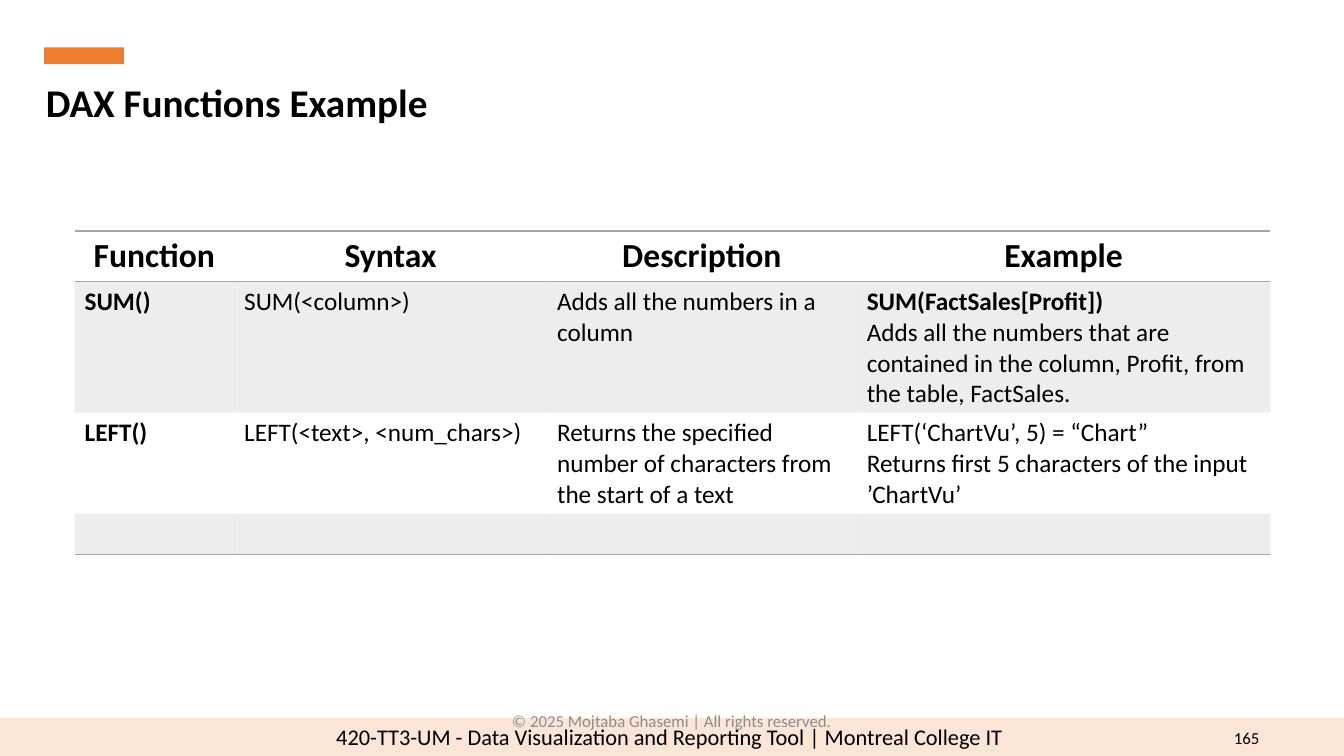
from dataclasses import dataclass

from lxml import etree
from pptx import Presentation
from pptx.dml.color import RGBColor
from pptx.enum.shapes import MSO_SHAPE
from pptx.enum.text import MSO_ANCHOR, MSO_AUTO_SIZE, PP_ALIGN
from pptx.oxml.ns import qn
from pptx.util import Emu, Pt

RECT = MSO_SHAPE.RECTANGLE
LEFT, CENTER, RIGHT = PP_ALIGN.LEFT, PP_ALIGN.CENTER, PP_ALIGN.RIGHT
TOP, MIDDLE = MSO_ANCHOR.TOP, MSO_ANCHOR.MIDDLE
NO_AUTOFIT = MSO_AUTO_SIZE.NONE
PX = 9525
TITLE_ONLY = 5
PLAIN_TABLE_STYLE = "{2D5ABB26-0587-4C30-8999-92F81FD0307C}"


@dataclass(frozen=True)
class Theme:
    font: str = "Calibri"
    text: str = "000000"
    muted: str = "8C8C8C"
    accent: str = "ED7D31"
    band: str = "FBE5D6"
    grid: str = "A5A5A5"
    stripe_alpha: int = 20
    title_size: int = 28
    head_size: int = 24
    body_size: int = 18
    footer_size: int = 16
    small_size: int = 12


THEME = Theme()

COLUMN_WIDTHS = [152, 298, 295, 394]
ROW_HEIGHTS = [48, 125, 96, 39]
HEADINGS = ["Function", "Syntax", "Description", "Example"]
# Each cell is a list of (text, bold) paragraphs.
FUNCTION_ROWS = [
    [
        [("SUM()", True)],
        [("SUM(<column>)", False)],
        [("Adds all the numbers in a column", False)],
        [("SUM(FactSales[Profit])", True),
         ("Adds all the numbers that are contained in the column, Profit, "
          "from the table, FactSales.", False)],
    ],
    [
        [("LEFT()", True)],
        [("LEFT(<text>, <num_chars>)", False)],
        [("Returns the specified number of characters from the start of a text", False)],
        [("LEFT(‘ChartVu’, 5) = “Chart”", False),
         ("Returns first 5 characters of the input ’ChartVu’", False)],
    ],
    [[], [], [], []],
]


def px(n):
    return Emu(n * PX)


def write(p, text, size, bold=False, color=THEME.text, align=LEFT):
    p.alignment = align
    r = p.add_run()
    r.text = text
    r.font.name = THEME.font
    r.font.size = Pt(size)
    r.font.bold = bold
    r.font.color.rgb = RGBColor.from_string(color)


def add_title(s, text, x, y, w, h):
    title = s.shapes.title
    title.left, title.top, title.width, title.height = map(px, (x, y, w, h))
    tf = title.text_frame
    tf.auto_size = NO_AUTOFIT
    tf.vertical_anchor = TOP
    write(tf.paragraphs[0], text, THEME.title_size, bold=True)


def add_bar(s, color, x, y, w, h):
    bar = s.shapes.add_shape(RECT, *map(px, (x, y, w, h)))
    bar.shadow.inherit = False
    bar.fill.solid()
    bar.fill.fore_color.rgb = RGBColor.from_string(color)
    bar.line.fill.background()
    return bar


def add_label(s, text, x, y, w, h, **fmt):
    tf = s.shapes.add_textbox(*map(px, (x, y, w, h))).text_frame
    tf.word_wrap = True
    tf.vertical_anchor = MIDDLE
    write(tf.paragraphs[0], text, THEME.small_size, **fmt)


def rule_cell(cell, *sides):
    """Draw a one-point line on the given sides, listed from lnT to lnB."""
    tc_pr = cell._tc.get_or_add_tcPr()
    for i, side in enumerate(sides):
        ln = etree.Element(qn(f"a:{side}"), w=str(Pt(1)))
        fill = etree.SubElement(ln, qn("a:solidFill"))
        etree.SubElement(fill, qn("a:srgbClr"), val=THEME.grid)
        tc_pr.insert(i, ln)


def stripe_cell(cell):
    cell.fill.solid()
    cell.fill.fore_color.rgb = RGBColor.from_string(THEME.grid)
    color = cell._tc.tcPr.find(".//" + qn("a:srgbClr"))
    etree.SubElement(color, qn("a:alpha"), val=str(THEME.stripe_alpha * 1000))


def fill_cell(cell, paragraphs, size, align=LEFT):
    tf = cell.text_frame
    for i, (text, bold) in enumerate(paragraphs):
        p = tf.add_paragraph() if i else tf.paragraphs[0]
        write(p, text, size, bold=bold, align=align)


def add_function_table(s, x, y):
    rows, cols = len(ROW_HEIGHTS), len(COLUMN_WIDTHS)
    table = s.shapes.add_table(rows, cols, px(x), px(y), px(sum(COLUMN_WIDTHS)),
                               px(sum(ROW_HEIGHTS))).table
    table.first_row = table.horz_banding = False
    table._tbl.tblPr.find(qn("a:tableStyleId")).text = PLAIN_TABLE_STYLE
    for column, width in zip(table.columns, COLUMN_WIDTHS):
        column.width = px(width)
    for row, height in zip(table.rows, ROW_HEIGHTS):
        row.height = px(height)

    for c, heading in enumerate(HEADINGS):
        cell = table.cell(0, c)
        fill_cell(cell, [(heading, True)], THEME.head_size, CENTER)
        cell.fill.background()
        rule_cell(cell, "lnT", "lnB")
    for r, contents in enumerate(FUNCTION_ROWS, start=1):
        for c, paragraphs in enumerate(contents):
            cell = table.cell(r, c)
            fill_cell(cell, paragraphs, THEME.body_size)
            if r % 2:
                stripe_cell(cell)
            else:
                cell.fill.background()
            if r == rows - 1:
                rule_cell(cell, "lnB")


def main():
    prs = Presentation()
    prs.slide_width, prs.slide_height = px(1280), px(720)
    s = prs.slides.add_slide(prs.slide_layouts[TITLE_ONLY])

    footer = add_bar(s, THEME.band, 0, 684, 1280, 36)
    footer.text_frame.vertical_anchor = TOP
    write(footer.text_frame.paragraphs[0],
          "420-TT3-UM - Data Visualization and Reporting Tool | Montreal College IT ",
          THEME.footer_size, align=CENTER)
    add_label(s, "165", 1165, 684, 44, 38, align=RIGHT)
    add_bar(s, THEME.accent, 42, 45, 76, 16)
    add_title(s, "DAX Functions Example", 34, 70, 1099, 55)
    add_function_table(s, 71, 220)
    add_label(s, "© 2025 Mojtaba Ghasemi | All rights reserved.", 424, 667, 432, 38,
              color=THEME.muted, align=CENTER)

    prs.save("out.pptx")


if __name__ == "__main__":
    main()
